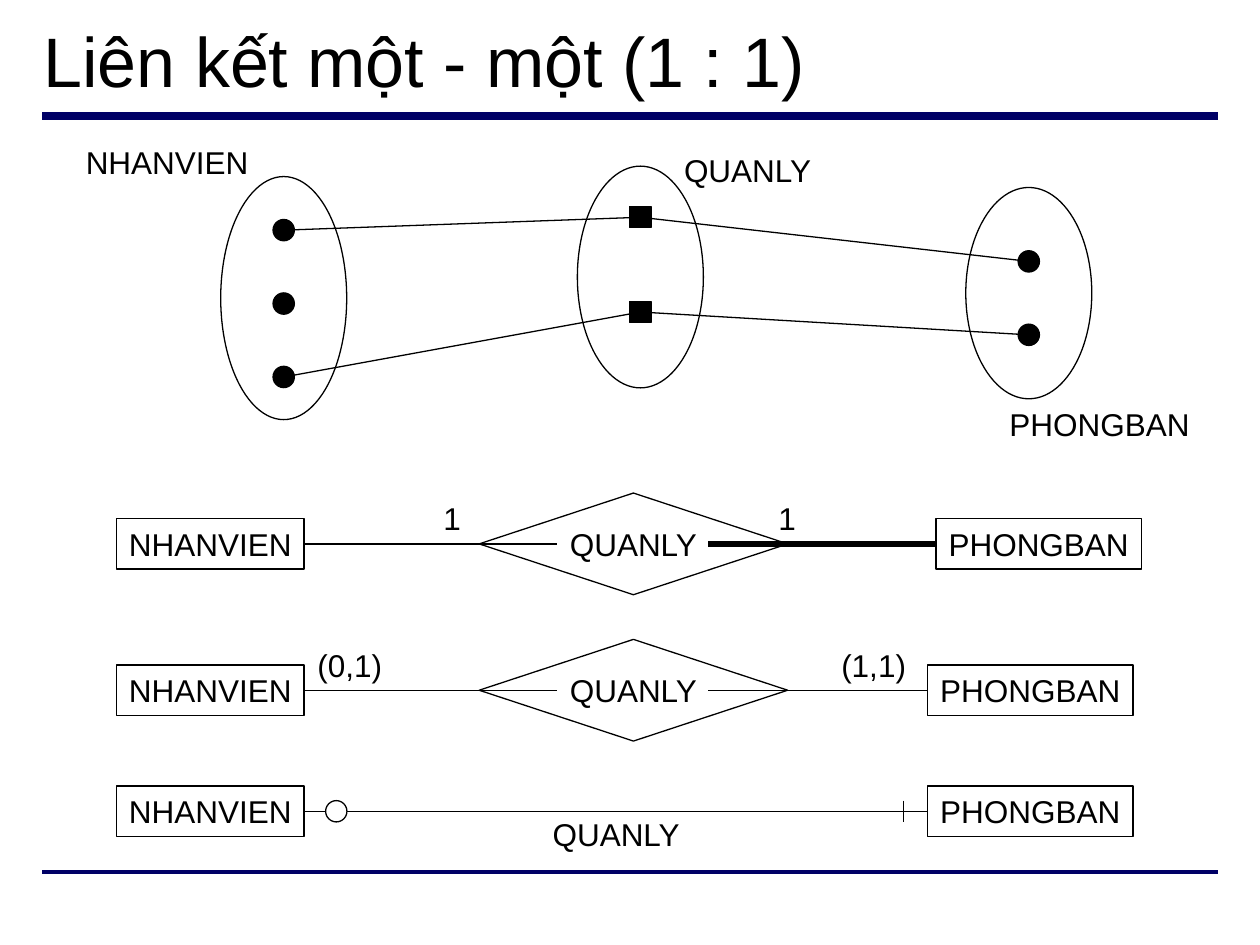
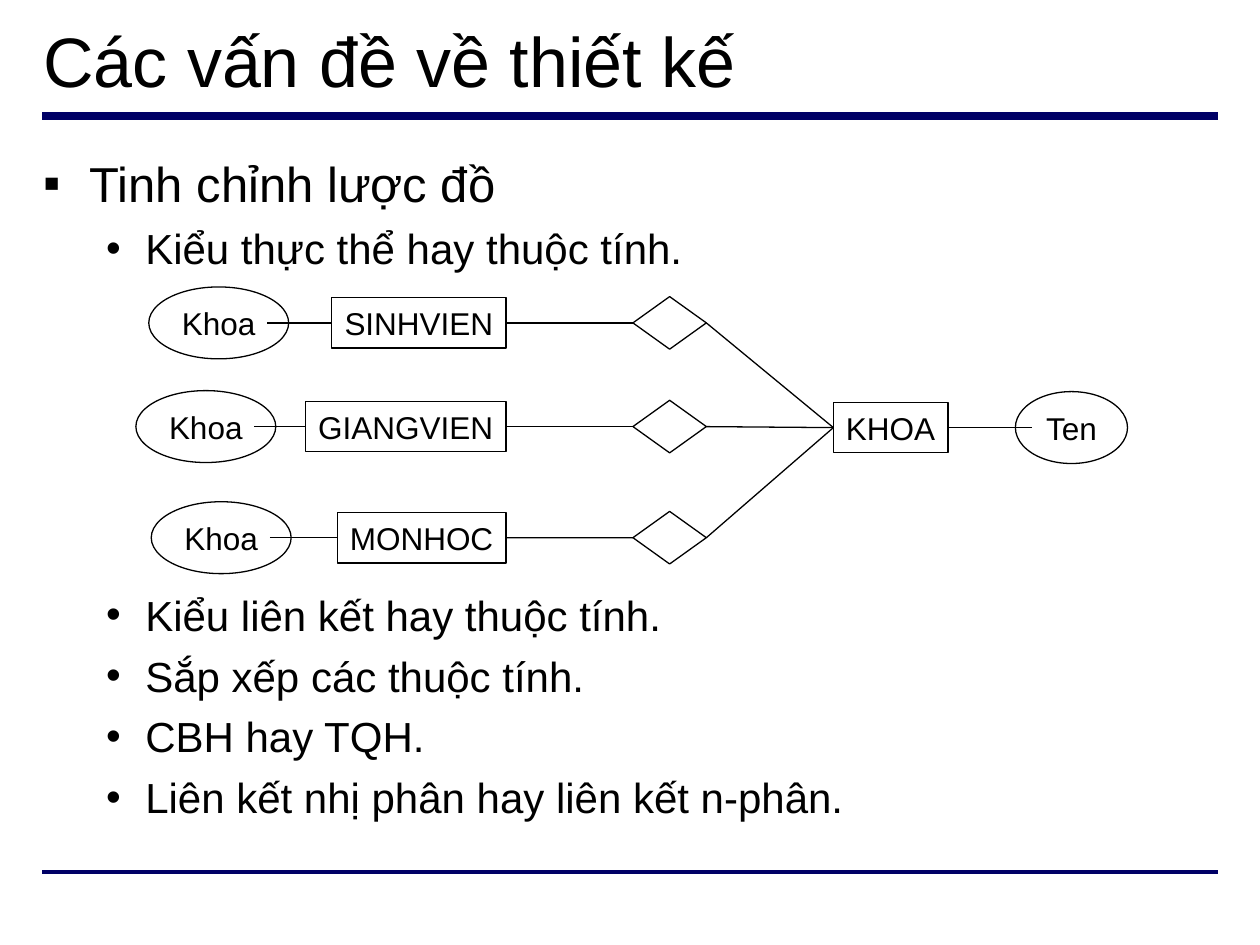
from dataclasses import dataclass

from lxml import etree
from pptx import Presentation
from pptx import util as u
from pptx.dml.color import RGBColor
from pptx.enum import shapes, text
from pptx.oxml.ns import qn

Kind = shapes.MSO_SHAPE
LEFT, RIGHT = 1, 3


@dataclass(frozen=True)
class Theme:
    font: str = "Arial"
    ink: RGBColor = RGBColor(0, 0, 0)
    paper: RGBColor = RGBColor(255, 255, 255)
    navy: RGBColor = RGBColor(0, 0, 0x66)
    title_size: int = 40
    topic_size: int = 28
    point_size: int = 24
    label_size: int = 18
    thin: float = 0.75
    thick: float = 3
    header_rule: float = 4.5
    footer_rule: float = 2.25


@dataclass(frozen=True)
class Box:
    left: float
    top: float
    width: float
    height: float

    @property
    def middle(self):
        return self.top + self.height / 2

    def within(self, left, top, width, height):
        return Box(self.left + left, self.top + top, width, height)

    def lengths(self):
        return [u.Cm(side) for side in (self.left, self.top, self.width, self.height)]


THEME = Theme()
ENTITY_HEIGHT = 1.02
MARK = 0.43


def centred(x, y, width, height):
    return Box(x - width / 2, y - height / 2, width, height)


def style_para(para, size, align=text.PP_ALIGN.LEFT):
    para.alignment = align
    para.font.name = THEME.font
    para.font.size = u.Pt(size)
    para.font.color.rgb = THEME.ink


def add_figure(page, kind, box, words="", fill=None):
    figure = page.shapes.add_shape(kind, *box.lengths())
    figure.shadow.inherit = False
    if fill is None:
        figure.fill.background()
    else:
        figure.fill.solid()
        figure.fill.fore_color.rgb = fill
    figure.line.color.rgb = THEME.ink
    figure.line.width = u.Pt(THEME.thin)
    if words:
        frame = figure.text_frame
        frame.word_wrap = False
        frame.vertical_anchor = text.MSO_ANCHOR.MIDDLE
        frame.text = words
        style_para(frame.paragraphs[0], THEME.label_size, text.PP_ALIGN.CENTER)
    return figure


def add_entity(page, name, left, middle, width):
    box = Box(left, middle - ENTITY_HEIGHT / 2, width, ENTITY_HEIGHT)
    return add_figure(page, Kind.RECTANGLE, box, name)


def add_label(page, words, box):
    frame = page.shapes.add_textbox(*box.lengths()).text_frame
    frame.word_wrap = False
    frame.text = words
    style_para(frame.paragraphs[0], THEME.label_size)


def side_point(figure, side):
    x = figure.left + (figure.width if side == RIGHT else 0)
    return u.Emu(x).cm, u.Emu(figure.top + figure.height // 2).cm


def add_line(page, start, end, color=THEME.ink, width=THEME.thin, start_on=None, end_on=None):
    points = [u.Cm(value) for value in (*start, *end)]
    line = page.shapes.add_connector(shapes.MSO_CONNECTOR.STRAIGHT, *points)
    if start_on:
        line.begin_connect(start_on, RIGHT)
    if end_on:
        line.end_connect(end_on, LEFT)
    line.line.color.rgb = color
    line.line.width = u.Pt(width)
    etree.SubElement(line.element.spPr, qn("a:effectLst"))


def line_from(page, figure, end):
    add_line(page, side_point(figure, RIGHT), end, start_on=figure)


def line_to(page, start, figure, width=THEME.thin):
    add_line(page, start, side_point(figure, LEFT), width=width, end_on=figure)


def line_between(page, first, second):
    add_line(page, side_point(first, RIGHT), side_point(second, LEFT),
             start_on=first, end_on=second)


def add_titled_page(deck, words):
    page = deck.slides.add_slide(deck.slide_layouts[5])
    for y, width in ((2.33, THEME.header_rule), (17.57, THEME.footer_rule)):
        add_line(page, (0.85, y), (24.55, y), THEME.navy, width)
    title = page.shapes.title
    title.left, title.top, title.width, title.height = Box(0.62, 0.22, 24.13, 1.95).lengths()
    frame = title.text_frame
    frame.text = words
    frame.word_wrap = True
    frame.auto_size = text.MSO_AUTO_SIZE.NONE
    frame.vertical_anchor = text.MSO_ANCHOR.MIDDLE
    style_para(frame.paragraphs[0], THEME.title_size)
    return page


def draw_sets(page, box):
    sets = (
        (Kind.OVAL, 4.25, 0.82, 4.9, (1.9, 3.38, 4.86)),
        (Kind.RECTANGLE, 11.44, 0.61, 4.47, (1.64, 3.55)),
        (Kind.OVAL, 19.27, 1.04, 4.26, (2.53, 4.01)),
    )
    members = []
    for kind, x, top, height, marks in sets:
        add_figure(page, Kind.OVAL, box.within(x - 1.27, top, 2.54, height))
        centres = [(box.left + x, box.top + y) for y in marks]
        for centre in centres:
            add_figure(page, kind, centred(*centre, MARK, MARK), fill=THEME.ink)
        members.append(centres)
    staff, managing, departments = members
    for person, link, department in zip(staff[::2], managing, departments):
        add_line(page, person, link)
        add_line(page, link, department)
    for words, left, top, width in (
        ("NHANVIEN", 0.01, 0.01, 4.01),
        ("QUANLY", 12.07, 0.18, 3.6),
        ("PHONGBAN", 18.63, 5.3, 4.24),
    ):
        add_label(page, words, box.within(left, top, width, ENTITY_HEIGHT))


def draw_entity_pair(page, box):
    staff = add_entity(page, "NHANVIEN", box.left, box.middle, 3.78)
    department = add_entity(page, "PHONGBAN", box.left + box.width - 4.14, box.middle, 4.14)
    return staff, department


def draw_relationship(page, box, roles, right_width=THEME.thin):
    staff, department = draw_entity_pair(page, box)
    add_figure(page, Kind.DIAMOND, box.within(7.31, 0, 6.22, box.height), "QUANLY")
    line_from(page, staff, (box.left + 8.88, box.middle))
    line_to(page, (box.left + 11.93, box.middle), department, right_width)
    for words, left in roles:
        add_label(page, words, box.within(left, 0, 2.2, ENTITY_HEIGHT))


def draw_crow_foot(page, box):
    staff, department = draw_entity_pair(page, box)
    line_between(page, staff, department)
    add_label(page, "QUANLY", box.within(8.54, box.height / 2 - 0.05, 3.4, ENTITY_HEIGHT))
    bar = box.left + 15.86
    add_line(page, (bar, box.middle - MARK / 2), (bar, box.middle + MARK / 2))
    add_figure(page, Kind.OVAL, centred(box.left + 4.43, box.middle, MARK, MARK), fill=THEME.paper)


def add_outline(page, box, points):
    frame = page.shapes.add_textbox(*box.lengths()).text_frame
    frame.word_wrap = True
    levels = (("▪", 0.94, 0.94, THEME.topic_size), ("•", 2.06, 0.79, THEME.point_size))
    for index, (level, space, words) in enumerate(points):
        para = frame.paragraphs[0] if index == 0 else frame.add_paragraph()
        para.text = words
        para.level = level
        mark, margin, hanging, size = levels[level]
        properties = para._p.get_or_add_pPr()
        properties.set("marL", str(u.Cm(margin)))
        properties.set("indent", str(-u.Cm(hanging)))
        etree.SubElement(properties, qn("a:buFont"), typeface=THEME.font)
        etree.SubElement(properties, qn("a:buChar"), char=mark)
        para.space_before = u.Pt(space)
        style_para(para, size)


def draw_schema(page, box):
    oval_height = 1.45
    hub_y = box.top + 2.83
    hub = add_entity(page, "KHOA", box.left + 14.06, hub_y, 2.31)
    for name, width, y, oval_left in (
        ("SINHVIEN", 3.51, 0.72, 0.26),
        ("GIANGVIEN", 4.04, 2.81, 0),
        ("MONHOC", 3.4, 5.05, 0.31),
    ):
        middle = box.top + y
        entity = add_entity(page, name, box.left + 7.46 - width, middle, width)
        add_figure(page, Kind.OVAL, box.within(oval_left, y - oval_height / 2, 2.82, oval_height),
                   "Khoa", THEME.paper)
        line_to(page, (box.left + oval_left + 2.39, middle), entity)
        link = add_figure(page, Kind.DIAMOND, box.within(10.02, y - 0.53, 1.48, 1.06))
        line_between(page, entity, link)
        line_between(page, link, hub)
    add_figure(page, Kind.OVAL, Box(box.left + 17.73, hub_y - oval_height / 2, 2.26, oval_height),
               "Ten", THEME.paper)
    line_from(page, hub, (box.left + 18.06, hub_y))


def build_one_to_one(deck):
    page = add_titled_page(deck, "Liên kết một - một (1 : 1)")
    draw_sets(page, Box(1.47, 2.74, 22.86, 6.3))
    draw_relationship(page, Box(2.35, 9.94, 20.66, 2.05),
                      (("1", 6.34), ("1", 13.09)), THEME.thick)
    draw_relationship(page, Box(2.35, 12.89, 20.49, 2.05),
                      (("(0,1)", 3.8), ("(1,1)", 14.36)))
    draw_crow_foot(page, Box(2.35, 15.33, 20.49, 2.05))


def build_design_issues(deck):
    page = add_titled_page(deck, "Các vấn đề về thiết kế")
    add_outline(page, Box(0.62, 2.97, 24.13, 14.07), (
        (0, 0, "Tinh chỉnh lược đồ"),
        (1, 6, "Kiểu thực thể hay thuộc tính."),
        (1, 180.5, "Kiểu liên kết hay thuộc tính."),
        (1, 6, "Sắp xếp các thuộc tính."),
        (1, 6, "CBH hay TQH."),
        (1, 6, "Liên kết nhị phân hay liên kết n-phân."),
    ))
    draw_schema(page, Box(2.74, 5.79, 20, 5.8))


def main():
    deck = Presentation()
    deck.slide_width, deck.slide_height = u.Cm(25.4), u.Cm(19.05)
    build_one_to_one(deck)
    build_design_issues(deck)
    deck.save("out.pptx")


if __name__ == "__main__":
    main()
